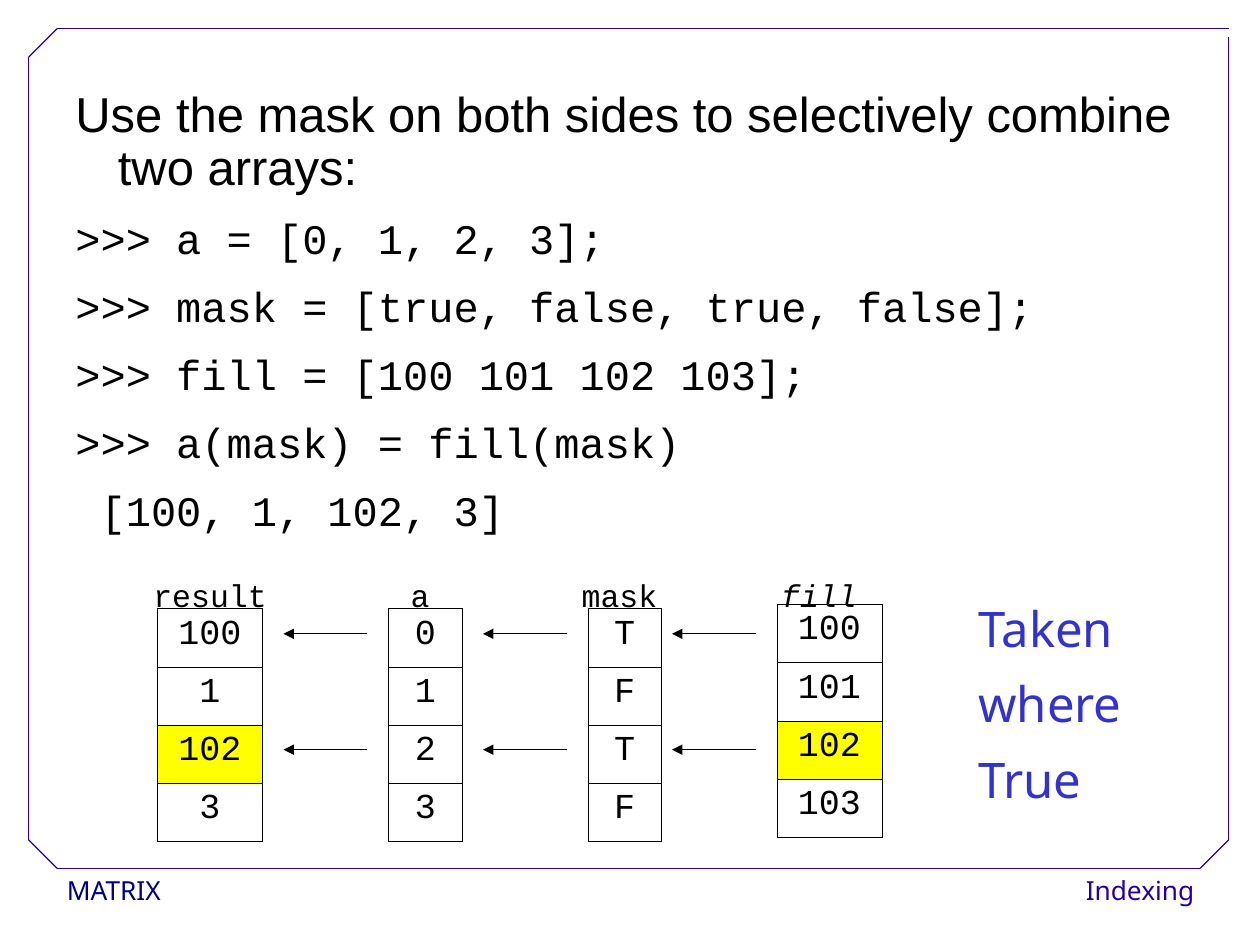
from lxml import etree
from pptx import Presentation
from pptx.dml.color import RGBColor
from pptx.enum.shapes import MSO_CONNECTOR
from pptx.enum.text import PP_ALIGN
from pptx.oxml.ns import qn
from pptx.util import Pt

LEFT, CENTER, RIGHT = PP_ALIGN.LEFT, PP_ALIGN.CENTER, PP_ALIGN.RIGHT
STRAIGHT = MSO_CONNECTOR.STRAIGHT
BLACK = RGBColor(0x00, 0x00, 0x00)
WHITE = RGBColor(0xFF, 0xFF, 0xFF)
YELLOW = RGBColor(0xFF, 0xFF, 0x00)
NAVY = RGBColor(0x00, 0x00, 0x80)
INDIGO = RGBColor(0x28, 0x00, 0x99)
BLUE = RGBColor(0x33, 0x33, 0xCC)
SANS, CODE, NOTE = "Arial", "Courier New", "Noto Sans"

INTRO = "Use the mask on both sides to selectively combine two arrays:"
CODE_LINES = [
    ">>> a = [0, 1, 2, 3];",
    ">>> mask = [true, false, true, false];",
    ">>> fill = [100 101 102 103];",
    ">>> a(mask) = fill(mask)",
    " [100, 1, 102, 3]",
]
ROW_HEIGHT = 33.3
ARRAYS = [
    ("a", ["0", "1", "2", "3"], (222, 347.8, 42), (204, 72), None),
    ("mask", ["T", "F", "T", "F"], (336, 347.8, 42), (318, 72), None),
    ("fill", ["100", "101", "102", "103"], (444, 345.4, 60), (432, 72), 2),
    ("result", ["100", "1", "102", "3"], (90, 347.8, 60), (78, 84), 2),
]


def style_paragraph(para, font, size, color, align=LEFT, spacing=1.0, after=0):
    para.alignment = align
    para.line_spacing = spacing
    para.space_after = Pt(after)
    for span in para.runs:
        span.font.name = font
        span.font.size = Pt(size)
        span.font.color.rgb = color


def add_text(page, lines, left, top, width, height):
    box = page.shapes.add_textbox(Pt(left), Pt(top), Pt(width), Pt(height))
    frame = box.text_frame
    frame.word_wrap = True
    frame.text = "\n".join(lines)
    return box


def hang_paragraph(para):
    properties = para._p.get_or_add_pPr()
    properties.set("marL", str(Pt(24.3)))
    properties.set("indent", str(Pt(-24.3)))


def add_line(page, start, end, color, arrow=False):
    line = page.shapes.add_connector(STRAIGHT, *map(Pt, start + end))
    line.line.color.rgb = color
    line.line.width = Pt(0.75)
    properties = line._element.spPr
    if arrow:
        outline = properties.find(qn("a:ln"))
        etree.SubElement(outline, qn("a:tailEnd"), type="triangle")
    etree.SubElement(properties, qn("a:effectLst"))


def add_footer(page, text, left, top, width, height, color, align):
    box = add_text(page, [text], left, top, width, height)
    box.fill.solid()
    box.fill.fore_color.rgb = WHITE
    frame = box.text_frame
    frame.margin_left = frame.margin_right = Pt(6.5)
    frame.margin_top = frame.margin_bottom = Pt(3.2)
    style_paragraph(frame.paragraphs[0], NOTE, 15, color, align, 1.02)


def add_frame(page, left, top, right, bottom, corner):
    inner_left, inner_right = left + corner, right - corner
    inner_top, inner_bottom = top + corner, bottom - corner
    segments = [
        ((inner_left, bottom), (inner_right, bottom)),
        ((left, inner_bottom), (left, inner_top)),
        ((inner_left, top), (right, top)),
        ((right, inner_bottom), (right, top + 4.5)),
        ((left, inner_top), (inner_left, top)),
        ((inner_right, bottom), (right, inner_bottom)),
        ((left, inner_bottom), (inner_left, bottom)),
    ]
    for start, end in segments:
        add_line(page, start, end, INDIGO)


def add_body(page, left, top, width, height):
    box = add_text(page, [INTRO] + CODE_LINES, left, top, width, height)
    for index, para in enumerate(box.text_frame.paragraphs):
        font, size = (CODE, 24) if index else (SANS, 28)
        hang_paragraph(para)
        style_paragraph(para, font, size, BLACK, LEFT, 0.9, 12.9)


def add_cell_borders(cell):
    properties = cell._tc.get_or_add_tcPr()
    for position, side in enumerate(("a:lnL", "a:lnR", "a:lnT", "a:lnB")):
        border = etree.Element(qn(side), w=str(Pt(0.45)))
        fill = etree.SubElement(border, qn("a:solidFill"))
        etree.SubElement(fill, qn("a:srgbClr"), val=str(BLACK))
        properties.insert(position, border)


def add_array(page, name, values, left, top, width, highlight):
    table = page.shapes.add_table(
        len(values), 1, Pt(left), Pt(top), Pt(width), Pt(ROW_HEIGHT * len(values))
    ).table
    table.first_row = table.horz_banding = False
    for index, value in enumerate(values):
        table.rows[index].height = Pt(ROW_HEIGHT)
        cell = table.cell(index, 0)
        cell.margin_left = cell.margin_right = Pt(7.2)
        cell.margin_top = cell.margin_bottom = Pt(3.6)
        cell.text = value
        style_paragraph(cell.text_frame.paragraphs[0], CODE, 20, BLACK, CENTER, 0.93, 12.9)
        if index == highlight:
            cell.fill.solid()
            cell.fill.fore_color.rgb = YELLOW
        else:
            cell.fill.background()
        add_cell_borders(cell)


def add_label(page, name, left, top, width, height):
    para = add_text(page, [name], left, top, width, height).text_frame.paragraphs[0]
    style_paragraph(para, CODE, 18, BLACK, CENTER)
    para.runs[0].font.italic = name == "fill"


def add_diagram(page):
    for name, values, (left, top, width), (label_left, label_width), highlight in ARRAYS:
        add_array(page, name, values, left, top, width, highlight)
        add_label(page, name, label_left, 325.4, label_width, 28.8)
    for right in (210, 324, 432):
        for height in (362.2, 428.4):
            add_line(page, (right, height), (right - 48, height), BLACK, arrow=True)


def add_remark(page, left, top, width, height):
    box = add_text(page, ["Taken", "where", "True"], left, top, width, height)
    for para in box.text_frame.paragraphs:
        hang_paragraph(para)
        style_paragraph(para, NOTE, 28, BLUE, LEFT, 0.9, 12.9)


def main():
    deck = Presentation()
    deck.slide_width, deck.slide_height = Pt(720), Pt(540)
    page = deck.slides.add_slide(deck.slide_layouts[6])
    add_footer(page, "MATRIX", 31.7, 496, 140.4, 26.6, NAVY, LEFT)
    add_footer(page, "Indexing", 597.6, 496, 91.4, 26.6, INDIGO, RIGHT)
    add_frame(page, 16.4, 16.4, 702, 496.2, 16.2)
    add_body(page, 36, 48, 666, 438)
    add_diagram(page)
    add_remark(page, 552, 342, 96, 126)
    deck.save("out.pptx")


if __name__ == "__main__":
    main()
